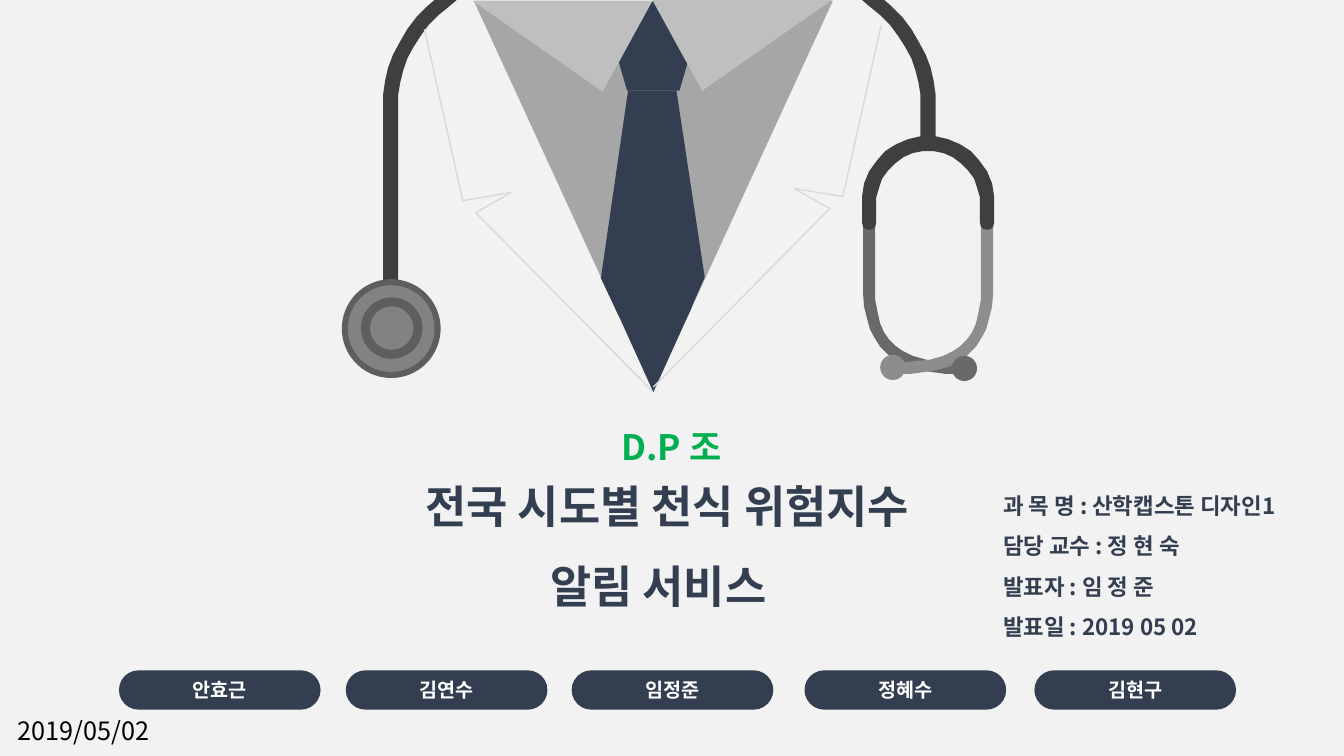
from lxml.etree import SubElement
from pptx import Presentation
from pptx.dml.color import RGBColor
from pptx.enum.shapes import MSO_SHAPE
from pptx.enum.text import MSO_ANCHOR, MSO_AUTO_SIZE, PP_ALIGN
from pptx.oxml.ns import qn
from pptx.util import Pt

PX = 9144
FONT = "Noto Sans CJK KR"
NAVY, DARK, STEEL, RIM, DISC = "333F50", "3F3F3F", "69696B", "5E5E5E", "828282"
rgb = RGBColor.from_string


def paint(shape, color):
    shape.shadow.inherit = False
    shape.fill.solid()
    shape.fill.fore_color.rgb = rgb(color)
    shape.line.fill.background()


def write(para, text, size, color, bold=True):
    span = para.add_run()
    span.text = text
    span.font.size = Pt(size)
    span.font.bold = bold
    span.font.name = FONT
    span.font.color.rgb = rgb(color)
    SubElement(span.font._element, qn("a:ea"), typeface=FONT)


deck = Presentation()
deck.slide_width, deck.slide_height = 1333 * PX, 750 * PX
page = deck.slides.add_slide(deck.slide_layouts[1])
page.background.fill.solid()
page.background.fill.fore_color.rgb = rgb("F2F2F2")
doctor = page.shapes.add_group_shape().shapes

clothes = [
    (MSO_SHAPE.ISOSCELES_TRIANGLE, 470, 1, 356, 387, "A6A6A6", 0.5),
    (MSO_SHAPE.REGULAR_PENTAGON, 606, 1, 84, 89, NAVY, None),
    (MSO_SHAPE.ISOSCELES_TRIANGLE, 469, 1, 178, 90, "BFBFBF", 0.277),
    (MSO_SHAPE.ISOSCELES_TRIANGLE, 647, 0, 178, 90, "BFBFBF", 0.723),
    (MSO_SHAPE.ISOSCELES_TRIANGLE, 610, 305, 76, 84, NAVY, 0.5),
]
for kind, left, top, width, height, color, apex in clothes:
    piece = doctor.add_shape(kind, left * PX, top * PX, width * PX, height * PX)
    paint(piece, color)
    if apex is not None:
        piece.adjustments[0] = apex
        piece.rotation = 180

tie = [(623, 90), (671, 90), (699, 275), (682, 314), (614, 314), (596, 276)]
tube_inner = [(453, 0), (446, 6), (435, 15), (425, 25), (417, 36), (410, 47),
              (404, 58), (400, 70), (397, 82), (395, 94), (395, 100)]
tube_outer = [(380, 100), (380, 94), (382, 80), (385, 67), (390, 54), (397, 41),
              (404, 29), (413, 17), (424, 6), (431, 0)]
left_tube = tube_inner + [(395, 351), (380, 351)] + tube_outer
right_tube = [(1308 - x, y) for x, y in tube_inner + [(395, 147), (380, 147)] + tube_outer]
yoke_half = [(920, 150), (915, 150), (905, 152), (896, 156), (888, 162), (881, 169),
             (875, 177), (872, 186), (869, 196), (869, 221), (868, 225), (866, 227),
             (862, 228), (858, 227), (856, 225), (855, 221), (855, 201), (855, 195),
             (857, 182), (862, 170), (870, 159), (878, 150), (889, 143), (901, 138),
             (914, 135), (920, 135)]
yoke = yoke_half + [(1841 - x, y) for x, y in reversed(yoke_half)]
tip = [(952, 371), (938, 371), (916, 368), (900, 364), (888, 358), (881, 352),
       (873, 344), (868, 336), (863, 327), (860, 316), (857, 304), (856, 291),
       (856, 221), (868, 221), (868, 297), (871, 312), (873, 321), (877, 330),
       (882, 337), (888, 343), (895, 348), (905, 353), (919, 357), (941, 359),
       (956, 359), (956, 371)]
light_tip = [(1841 - x, y) for x, y in tip]

outlines = [(tie, NAVY), (left_tube, DARK), (right_tube, DARK),
            (tip, STEEL), (light_tip, "8D8D8E"), (yoke, DARK)]
for points, color in outlines:
    pen = doctor.build_freeform(*points[0], scale=PX)
    pen.add_line_segments(points[1:], close=True)
    paint(pen.convert_to_shape(), color)

circles = [(339, 277, 98, RIM), (345, 283, 86, DISC), (358, 295, 61, RIM),
           (367, 304, 43, DISC), (944, 353, 25, STEEL), (873, 352, 25, "8D8D8E")]
for left, top, size, color in circles:
    circle = doctor.add_shape(MSO_SHAPE.OVAL, left * PX, top * PX, size * PX, size * PX)
    paint(circle, color)

left_lapel = [(421, 29), (459, 199), (507, 191), (472, 211), (647, 388)]
right_lapel = [(1295 - x, y - 4) for x, y in left_lapel]
for points in (left_lapel, right_lapel):
    pen = doctor.build_freeform(*points[0], scale=PX)
    pen.add_line_segments(points[1:], close=False)
    lapel = pen.convert_to_shape()
    lapel.shadow.inherit = False
    lapel.fill.background()
    lapel.line.color.rgb = rgb("D9D9D9")
    lapel.line.width = Pt(1)

names = [(118, "안효근"), (343, "김연수"), (567, "임정준"), (798, "정혜수"), (1026, "김현구")]
for left, name in names:
    pill = page.shapes.add_shape(MSO_SHAPE.ROUNDED_RECTANGLE, left * PX, 665 * PX, 200 * PX, 39 * PX)
    pill.adjustments[0] = 0.5
    paint(pill, NAVY)
    pill.text_frame.vertical_anchor = MSO_ANCHOR.MIDDLE
    para = pill.text_frame.paragraphs[0]
    para.alignment = PP_ALIGN.CENTER
    write(para, name, 14, "FFFFFF")

title, details = page.placeholders
team = page.shapes.add_textbox(0, 0, PX, PX)
date = page.shapes.add_textbox(0, 0, PX, PX)
texts = [
    (title, 318, 443, 670, 161, ["전국 시도별 천식 위험지수", "알림 서비스"], 32, NAVY, PP_ALIGN.CENTER, 1.5),
    (details, 985, 470, 340, 232,
     ["과 목 명 : 산학캡스톤 디자인1", "담당 교수 : 정 현 숙", "발표자 : 임 정 준", "발표일 : 2019 05 02"],
     16, NAVY, PP_ALIGN.LEFT, 1.5),
    (team, 574, 396, 184, 72, ["D.P 조"], 25, "00B050", PP_ALIGN.CENTER, 1.5),
    (date, 8, 705, 193, 40, ["2019/05/02"], 18, "000000", PP_ALIGN.LEFT, 1),
]
for box, left, top, width, height, lines, size, color, align, spacing in texts:
    box.left, box.top, box.width, box.height = left * PX, top * PX, width * PX, height * PX
    frame = box.text_frame
    frame.word_wrap = True
    frame.auto_size = MSO_AUTO_SIZE.NONE
    frame.vertical_anchor = MSO_ANCHOR.TOP
    for index, line in enumerate(lines):
        para = frame.add_paragraph() if index else frame.paragraphs[0]
        para.alignment = align
        para.line_spacing = spacing
        para.space_before = Pt(0)
        settings = para._p.get_or_add_pPr()
        settings.set("marL", str(18 * PX if box is title and index == 0 else 0))
        settings.set("indent", "0")
        SubElement(settings, qn("a:buNone"))
        write(para, line, size, color, bold=box is not date)

deck.save("out.pptx")
